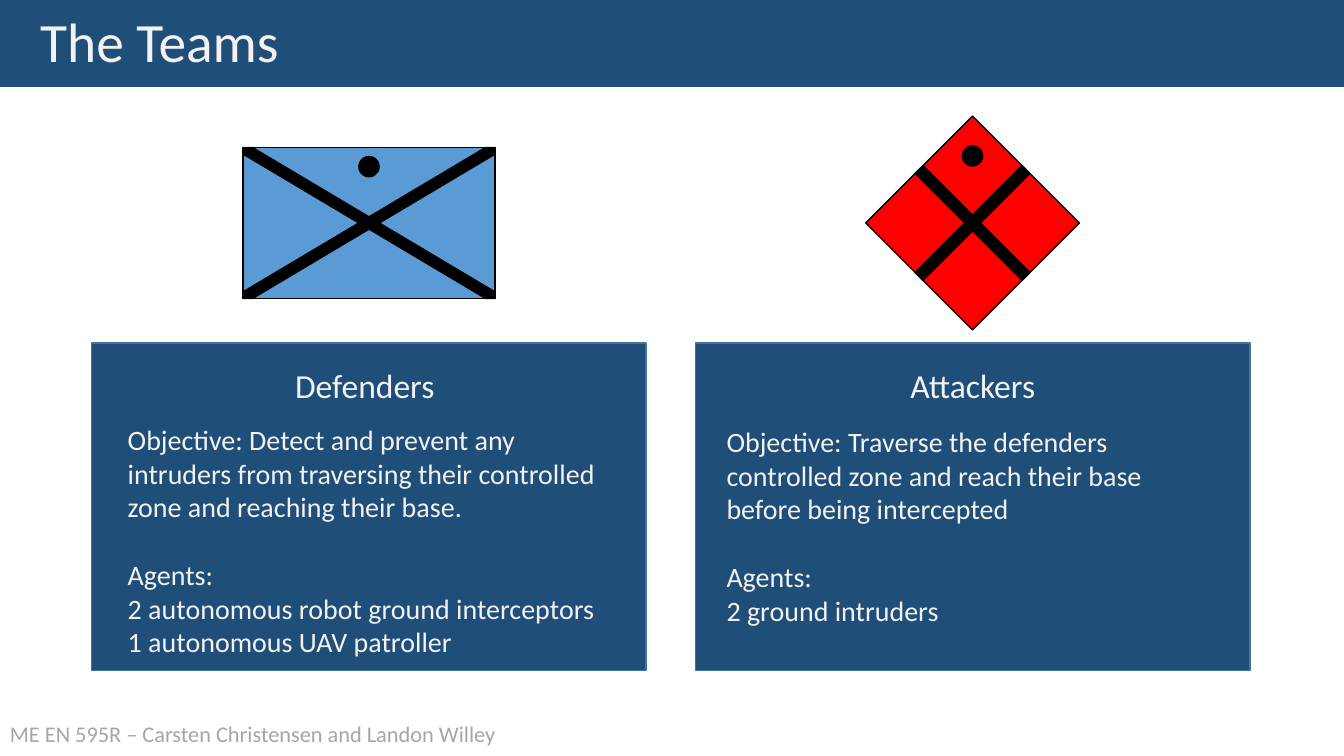
import pptx
import pptx.util
import pptx.dml.color
import pptx.enum.shapes
import pptx.enum.text
from dataclasses import dataclass

Cm = pptx.util.Cm
Pt = pptx.util.Pt
Kind = pptx.enum.shapes.MSO_SHAPE
Align = pptx.enum.text.PP_ALIGN
Fit = pptx.enum.text.MSO_AUTO_SIZE


@dataclass
class Theme:
    font: str = "Calibri"
    navy: str = "1F4E79"
    edge: str = "43739E"
    blue: str = "5B9BD5"
    red: str = "FF0000"
    black: str = "000000"
    pale: str = "F2F2F2"
    grey: str = "A6A6A6"
    title: float = 39.6
    head: float = 24
    body: float = 20
    foot: float = 16


def rgb(code):
    return pptx.dml.color.RGBColor.from_string(code)


class Deck:
    def __init__(self, theme):
        self.theme = theme
        self.file = pptx.Presentation()
        self.file.slide_width = Cm(33.87)
        self.file.slide_height = Cm(19.05)
        self.slide = self.file.slides.add_slide(self.file.slide_layouts[5])

    def style(self, para, size, color, align=Align.LEFT):
        para.alignment = align
        for run in para.runs:
            run.font.name = self.theme.font
            run.font.size = Pt(size)
            run.font.color.rgb = rgb(color)

    def title(self, text, left, top, width, height):
        box = self.slide.shapes.title
        box.left, box.top = Cm(left), Cm(top)
        box.width, box.height = Cm(width), Cm(height)
        frame = box.text_frame
        frame.text = text
        frame.auto_size = Fit.NONE
        frame.vertical_anchor = pptx.enum.text.MSO_ANCHOR.MIDDLE
        frame.paragraphs[0].line_spacing = 0.9
        self.style(frame.paragraphs[0], self.theme.title, self.theme.pale)

    def shape(self, kind, left, top, width, height, fill, line, home=None):
        home = home or self.slide
        item = home.shapes.add_shape(kind, Cm(left), Cm(top), Cm(width), Cm(height))
        item.shadow.inherit = False
        item.fill.solid()
        item.fill.fore_color.rgb = rgb(fill)
        item.line.color.rgb = rgb(line)
        item.line.width = Pt(1)
        return item

    def mark(self, kind, mid, width, height, fill, home, turn=0):
        """Add a black-edged emblem part centred on mid."""
        x, y = mid
        item = self.shape(kind, x - width / 2, y - height / 2, width, height,
                          fill, self.theme.black, home)
        item.rotation = turn
        return item

    def banner(self, height):
        bar = self.shape(Kind.RECTANGLE, 0, 0, 33.87, height,
                         self.theme.navy, self.theme.navy)
        # The bar lies behind the title
        self.slide.shapes.title.element.addprevious(bar.element)

    def text(self, lines, left, top, width, height, size, color, align=Align.LEFT):
        box = self.slide.shapes.add_textbox(Cm(left), Cm(top), Cm(width), Cm(height))
        frame = box.text_frame
        frame.word_wrap = True
        frame.auto_size = Fit.SHAPE_TO_FIT_TEXT
        frame.text = "\n".join(lines)
        for para in frame.paragraphs:
            self.style(para, size, color, align)
        return frame

    def panel(self, left, name, name_left, goal, agents, spot):
        look = self.theme
        self.shape(Kind.RECTANGLE, left, 8.64, 13.97, 8.26, look.navy, look.edge)
        body = self.text(["Objective: " + goal, "Agents:", *agents], *spot,
                         look.body, look.pale)
        body.paragraphs[1].space_before = Pt(24.4)
        self.text([name], name_left, 9.07, 5.03, 1.27, look.head, look.pale,
                  Align.CENTER)

    def shield(self, x, y):
        """Draw the defenders' emblem: a crossed rectangle with a dot."""
        look = self.theme
        group = self.slide.shapes.add_group_shape()
        self.mark(Kind.RECTANGLE, (x, y), 6.35, 3.81, look.blue, group)
        for flip in (False, True):
            for turn in (0, 180):
                shift = 0.01 if flip == (turn == 0) else -0.01
                band = self.mark(Kind.DIAGONAL_STRIPE, (x, y + shift), 6.35, 3.78,
                                 look.black, group, turn)
                band.adjustments[0] = 0.962
                if flip:
                    band.element.spPr.xfrm.set("flipV", "1")
        self.mark(Kind.OVAL, (x, y - 1.42), 0.51, 0.51, look.black, group)

    def diamond(self, x, y):
        """Draw the attackers' emblem: a crossed diamond with a dot."""
        look = self.theme
        group = self.slide.shapes.add_group_shape()
        self.mark(Kind.RECTANGLE, (x, y), 3.81, 3.81, look.red, group, 45)
        for turn in (45, 315):
            self.mark(Kind.RECTANGLE, (x, y), 3.81, 0.28, look.black, group, turn)
        self.mark(Kind.OVAL, (x, y - 1.69), 0.51, 0.51, look.black, group)


def main():
    look = Theme()
    deck = Deck(look)
    deck.title("The Teams", 0.76, 0.36, 29.21, 1.52)
    deck.banner(2.18)
    deck.text(["ME EN 595R – Carsten Christensen and Landon Willey"],
              0, 18.03, 17.12, 0.94, look.foot, look.grey)
    deck.panel(2.31, "Defenders", 6.68,
               "Detect and prevent any intruders from traversing their "
               "controlled zone and reaching their base.",
               ["2 autonomous robot ground interceptors",
                "1 autonomous UAV patroller"],
               (2.97, 10.52, 12.6, 6.25))
    deck.panel(17.53, "Attackers", 22,
               "Traverse the defenders controlled zone and reach their base "
               "before being intercepted",
               ["2 ground intruders"],
               (18.06, 10.57, 12.83, 5.38))
    deck.shield(9.3, 5.62)
    deck.diamond(24.51, 5.62)
    deck.file.save("out.pptx")


if __name__ == "__main__":
    main()
